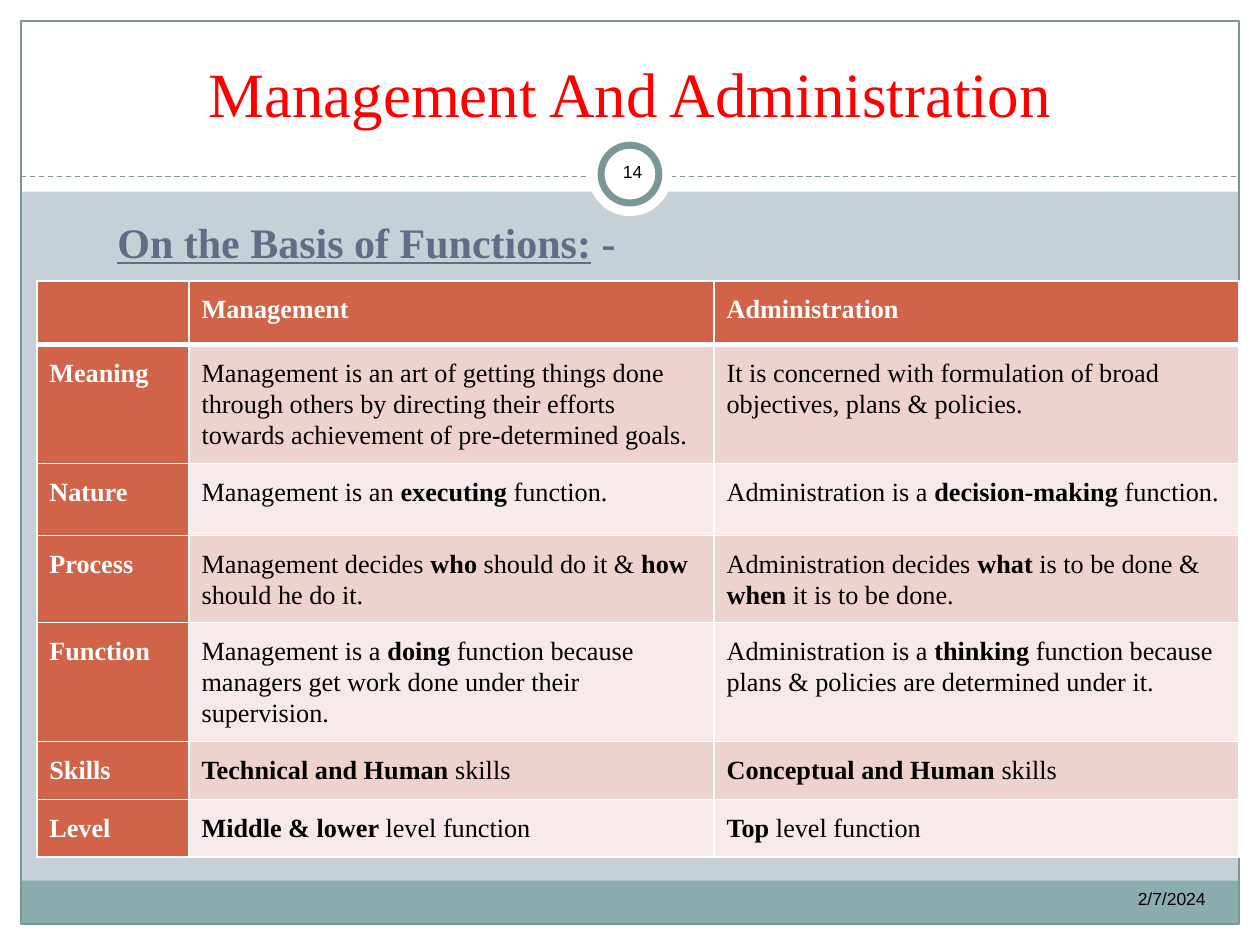
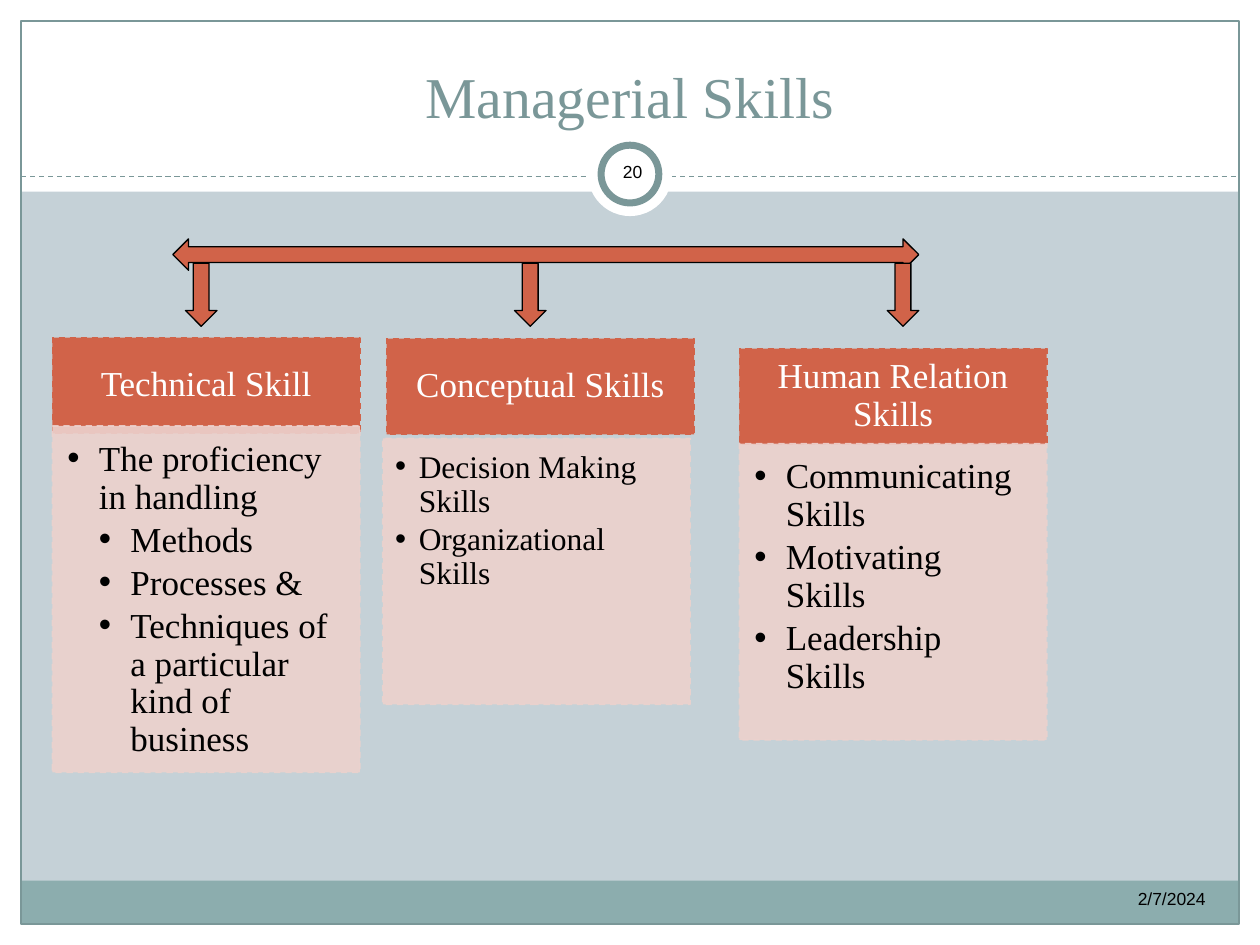
from dataclasses import dataclass

from lxml.etree import SubElement
from pptx import Presentation
from pptx.dml.color import RGBColor
from pptx.enum.dml import MSO_LINE
from pptx.enum.shapes import MSO_CONNECTOR, MSO_SHAPE
from pptx.enum.text import MSO_ANCHOR, MSO_AUTO_SIZE, PP_ALIGN
from pptx.oxml.ns import qn
from pptx.util import Pt


@dataclass(frozen=True)
class Theme:
    serif: str = "Times New Roman"
    sans: str = "Arial"
    backdrop: str = "C5D1D7"
    white: str = "FFFFFF"
    black: str = "000000"
    teal: str = "7A9798"
    footer: str = "8CADAE"
    red: str = "FF0000"
    slate: str = "646B86"
    rust: str = "D16349"
    blush: str = "ECD1CD"
    bands: tuple = ("EED2CE", "F7EAE8")
    title_large: float = 36
    title: float = 33
    subtitle: float = 24
    card: float = 20
    card_small: float = 18
    cell: float = 15
    small: float = 10


THEME = Theme()
WIDTH, HEIGHT, MARGIN = 720, 540, 12
DATE = "2/7/2024"

COMPARISON = [
    ("", "Management", "Administration"),
    ("Meaning",
     "Management is an art of getting things done through others by directing "
     "their efforts towards achievement of pre-determined goals.",
     "It is concerned with formulation of broad objectives, plans & policies."),
    ("Nature", "Management is an **executing** function.",
     "Administration is a **decision-making** function."),
    ("Process", "Management decides **who **should do it & **how **should he do it.",
     "Administration decides **what **is to be done & **when** it is to be done."),
    ("Function",
     "Management is a **doing** function because managers get work done under "
     "their supervision.",
     "Administration is a **thinking** function because plans & policies are "
     "determined under it."),
    ("Skills", "**Technical and Human **skills", "**Conceptual and Human **skills"),
    ("Level", "**Middle & lower **level function", "**Top **level function"),
]
COLUMN_WIDTHS = (87, 300, 300)
ROW_HEIGHTS = (33, 68, 41, 50, 68, 33, 33)


def rgb(color):
    return RGBColor.from_string(color)


def write_text(frame, lines, *, size, color, font=THEME.serif, bold=False,
               underline_to=None, align=PP_ALIGN.LEFT, anchor=MSO_ANCHOR.TOP,
               inset=(7.2, 3.6, 7.2, 3.6), spacing=1.0, before=0, indent=0,
               bullet=False):
    """Lines are (level, text) pairs or one string; **marks** make text bold."""
    frame.word_wrap = True
    frame.auto_size = MSO_AUTO_SIZE.NONE
    frame.vertical_anchor = anchor
    (frame.margin_left, frame.margin_top,
     frame.margin_right, frame.margin_bottom) = map(Pt, inset)
    if isinstance(lines, str):
        lines = [(0, lines)]
    for index, (level, line) in enumerate(lines):
        paragraph = frame.add_paragraph() if index else frame.paragraphs[0]
        paragraph.alignment = align
        paragraph.line_spacing = spacing
        paragraph.space_before = Pt(before if index else 0)
        paragraph.level = level
        if indent:
            properties = paragraph._p.get_or_add_pPr()
            properties.set("marL", str(Pt(indent * (level + 1))))
            properties.set("indent", str(Pt(-indent if bullet else 0)))
            if bullet:
                SubElement(properties, qn("a:buFont"), typeface=THEME.sans)
                SubElement(properties, qn("a:buChar"), char="•")
        for part_index, part in enumerate(line.split("**")):
            if not part:
                continue
            run = paragraph.add_run()
            run.text = part
            run.font.name = font
            run.font.size = Pt(size)
            run.font.bold = bold or part_index % 2 == 1
            run.font.color.rgb = rgb(color)
            run.font.underline = part == underline_to


def add_box(slide, kind, left, top, width, height, *, fill=None, line=None,
            weight=0.75, dash=None, opacity=100):
    shape = slide.shapes.add_shape(kind, Pt(left), Pt(top), Pt(width), Pt(height))
    shape.shadow.inherit = False
    if fill:
        shape.fill.solid()
        shape.fill.fore_color.rgb = rgb(fill)
    else:
        shape.fill.background()
    if line:
        shape.line.color.rgb = rgb(line)
        shape.line.width = Pt(weight)
        if dash:
            shape.line.dash_style = dash
    else:
        shape.line.fill.background()
    if opacity < 100:
        for color in shape.element.spPr.iter(qn("a:srgbClr")):
            SubElement(color, qn("a:alpha"), val=str(opacity * 1000))
    return shape


def add_label(slide, left, top, width, height, text, **style):
    label = slide.shapes.add_textbox(Pt(left), Pt(top), Pt(width), Pt(height))
    write_text(label.text_frame, text, **style)


def add_rule(slide, left, right, y):
    rule = slide.shapes.add_connector(
        MSO_CONNECTOR.STRAIGHT, Pt(left), Pt(y), Pt(right), Pt(y))
    rule.line.color.rgb = rgb(THEME.teal)
    rule.line.width = Pt(0.75)
    rule.line.dash_style = MSO_LINE.DASH
    SubElement(rule.element.spPr, qn("a:effectLst"))


def decorate_layout(slide, layout):
    """Draw the shared frame once, then move it to the layout."""
    for placeholder in list(layout.placeholders):
        if placeholder.placeholder_format.idx:
            placeholder.element.getparent().remove(placeholder.element)
    layout.background.fill.solid()
    layout.background.fill.fore_color.rgb = rgb(THEME.backdrop)

    # White margins and title band
    for area in ((0, HEIGHT - MARGIN, WIDTH, MARGIN), (0, 0, WIDTH, 109.5),
                 (0, 0, MARGIN, HEIGHT), (WIDTH - MARGIN, 0, MARGIN, HEIGHT)):
        add_box(slide, MSO_SHAPE.RECTANGLE, *area, fill=THEME.white)
    # Footer band, outline and dashed rule
    inner = WIDTH - 2 * MARGIN
    add_box(slide, MSO_SHAPE.RECTANGLE, MARGIN, 503.25, inner, 24.5, fill=THEME.footer)
    add_box(slide, MSO_SHAPE.RECTANGLE, MARGIN, MARGIN, inner, HEIGHT - 2 * MARGIN,
            line=THEME.teal)
    add_rule(slide, MARGIN, WIDTH - MARGIN, 100.75)
    # Page number medallion
    for diameter, ring in ((48, None), (33, THEME.teal)):
        add_box(slide, MSO_SHAPE.OVAL, (WIDTH - diameter) / 2, 99.5 - diameter / 2,
                diameter, diameter, fill=THEME.white, line=ring, weight=4)

    for shape in list(slide.shapes):
        if not shape.is_placeholder:
            layout.shapes.element.append(shape.element)


def add_heading(slide, title, number, *, size, color):
    heading = slide.shapes.title
    heading.left, heading.top, heading.width, heading.height = map(
        Pt, (24, 18, 672, 60))
    write_text(heading.text_frame, title, size=size, color=color,
               align=PP_ALIGN.CENTER, anchor=MSO_ANCHOR.BOTTOM)
    small = dict(size=THEME.small, color=THEME.black, font=THEME.sans)
    add_label(slide, 456, 504, 240, 29, DATE, align=PP_ALIGN.RIGHT, **small)
    add_label(slide, 343.5, 80.75, 36, 34.5, number, align=PP_ALIGN.CENTER,
              anchor=MSO_ANCHOR.MIDDLE, inset=(3.6,) * 4, **small)


def set_borders(cell, **weights):
    properties = cell._tc.get_or_add_tcPr()
    for side in "LRTB":
        line = SubElement(properties, qn(f"a:ln{side}"),
                          w=str(Pt(weights.get(side, 1))))
        SubElement(SubElement(line, qn("a:solidFill")), qn("a:srgbClr"),
                   val=THEME.white)


def add_comparison(slide, left, top):
    table = slide.shapes.add_table(
        len(COMPARISON), len(COLUMN_WIDTHS), Pt(left), Pt(top),
        Pt(sum(COLUMN_WIDTHS)), Pt(sum(ROW_HEIGHTS))).table
    for column, width in zip(table.columns, COLUMN_WIDTHS):
        column.width = Pt(width)
    for row, height in zip(table.rows, ROW_HEIGHTS):
        row.height = Pt(height)
    for r, entries in enumerate(COMPARISON):
        for c, entry in enumerate(entries):
            cell = table.cell(r, c)
            is_header = r == 0 or c == 0
            set_borders(cell, T=3 if r == 1 else 1, B=3 if r == 0 else 1)
            cell.fill.solid()
            cell.fill.fore_color.rgb = rgb(
                THEME.rust if is_header else THEME.bands[(r - 1) % 2])
            write_text(cell.text_frame, entry, size=THEME.cell, bold=is_header,
                       color=THEME.white if is_header else THEME.black, spacing=1.07)
            cell.margin_left = cell.margin_right = Pt(7.2)
            cell.margin_top = cell.margin_bottom = Pt(7.2)
            cell.vertical_anchor = MSO_ANCHOR.TOP


def add_skill_card(slide, name, points, head_at, body_at, body_height, *,
                   size=THEME.card, indent=18, inset=(8.6, 8.6, 11.5, 12.2)):
    width = 175.7
    head = add_box(slide, MSO_SHAPE.RECTANGLE, *head_at, width, 54.7,
                   fill=THEME.rust, line=THEME.rust, weight=0.9, dash=MSO_LINE.DASH)
    write_text(head.text_frame, name, size=THEME.card, color=THEME.white,
               align=PP_ALIGN.CENTER, anchor=MSO_ANCHOR.MIDDLE,
               inset=(11.5, 6.5, 11.5, 6.5), spacing=0.9)
    body = add_box(slide, MSO_SHAPE.RECTANGLE, *body_at, width, body_height,
                   fill=THEME.blush, line=THEME.blush, weight=0.9,
                   dash=MSO_LINE.DASH, opacity=90)
    write_text(body.text_frame, points, size=size, color=THEME.black, inset=inset,
               spacing=0.9, before=0.15 * size, indent=indent, bullet=True)


def add_arrow(slide, kind, *area):
    add_box(slide, kind, *area, fill=THEME.rust, line=THEME.black)


def build_comparison_slide(slide):
    add_heading(slide, "Management And Administration", "14",
                size=THEME.title_large, color=THEME.red)
    basis = "On the Basis of Functions:"
    add_label(slide, 24, 120, 670, 40, f"**{basis}** -", size=THEME.subtitle,
              color=THEME.slate, bold=True, underline_to=basis, indent=36)
    add_comparison(slide, 21, 160.5)


def build_skills_slide(slide):
    add_heading(slide, "Managerial Skills", "20", size=THEME.title, color=THEME.teal)
    # Skill cards
    add_skill_card(slide, "Technical Skill",
                   [(0, "The proficiency in handling"), (1, "Methods"),
                    (1, "Processes &"),
                    (1, "Techniques of a particular kind of business")],
                   (30, 193), (30, 243.4), 198)
    add_skill_card(slide, "Conceptual Skills",
                   [(0, "Decision Making Skills"), (0, "Organizational Skills")],
                   (221, 193.5), (218.75, 250.5), 152, size=THEME.card_small,
                   indent=13.5, inset=(7.2, 7.2, 10, 11.5))
    add_skill_card(slide, "Human Relation Skills",
                   [(0, "Communicating Skills"), (0, "Motivating Skills"),
                    (0, "Leadership Skills")],
                   (422.5, 199.25), (422.5, 253.5), 169.25)
    # Branching arrows
    first, *others = (106, 294, 507)
    add_arrow(slide, MSO_SHAPE.DOWN_ARROW, first, 150.5, 18, 36)
    add_arrow(slide, MSO_SHAPE.LEFT_RIGHT_ARROW, 98.75, 136.5, 426.25, 18)
    for left in others:
        add_arrow(slide, MSO_SHAPE.DOWN_ARROW, left, 150.5, 18, 36)


def main():
    deck = Presentation()
    deck.slide_width, deck.slide_height = Pt(WIDTH), Pt(HEIGHT)
    title_only = deck.slide_layouts[5]
    comparison = deck.slides.add_slide(title_only)
    decorate_layout(comparison, title_only)
    build_comparison_slide(comparison)
    build_skills_slide(deck.slides.add_slide(title_only))
    deck.save("out.pptx")


if __name__ == "__main__":
    main()
